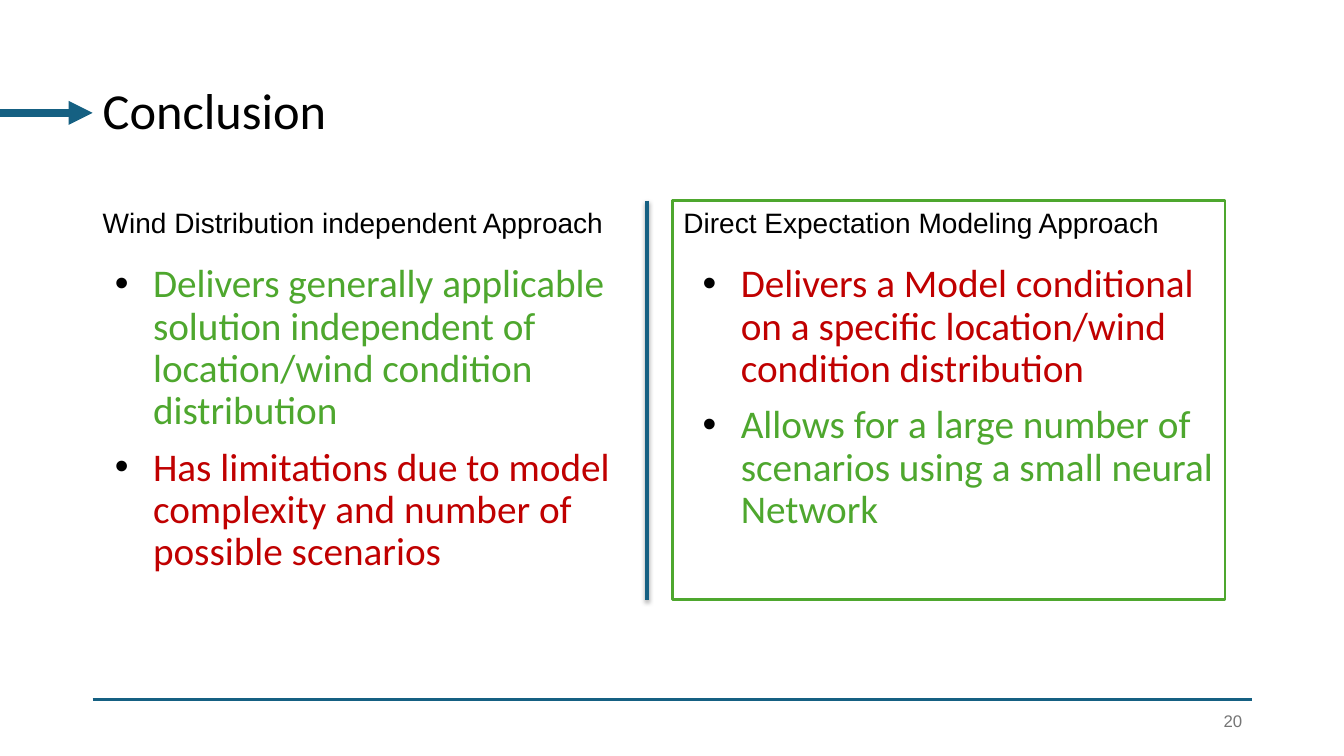
from lxml import etree
from pptx import Presentation
from pptx.dml.color import RGBColor
from pptx.enum.shapes import MSO_CONNECTOR, MSO_SHAPE
from pptx.enum.text import MSO_ANCHOR, PP_ALIGN
from pptx.oxml.ns import qn
from pptx.util import Inches, Pt

STRAIGHT = MSO_CONNECTOR.STRAIGHT
RECTANGLE = MSO_SHAPE.RECTANGLE
TOP, MIDDLE = MSO_ANCHOR.TOP, MSO_ANCHOR.MIDDLE
LEFT, RIGHT = PP_ALIGN.LEFT, PP_ALIGN.RIGHT

BLUE, GREEN, RED, BLACK, GREY = "156082", "4EA72E", "C00000", "000000", "757575"
TITLE = "Conclusion"
PAGE = "20"
APPROACHES = [
    ("Wind Distribution independent Approach", [
        ("Delivers generally applicable solution independent of "
         "location/wind condition distribution", GREEN),
        ("Has limitations due to model complexity and number of "
         "possible scenarios", RED),
    ]),
    ("Direct Expectation Modeling Approach", [
        ("Delivers a Model conditional on a specific location/wind "
         "condition distribution", RED),
        ("Allows for a large number of scenarios using a small neural "
         "Network", GREEN),
    ]),
]

WIDTH, HEIGHT = 13.33, 7.5
MARGIN = 0.92
CONTENT_W = WIDTH - 2 * MARGIN + 0.01
RIGHT_EDGE = MARGIN + CONTENT_W
BODY_W, BODY_GAP = 5.67, 0.16
HEADING_W, HEADING_GAP = 5.48, 0.28
PANEL_TOP, PANEL_H = 1.99, 3.96
BODY_TOP, BODY_H = 2.57, 4.18
RULE_Y, ARROW_Y = 6.94, 1.12
DIVIDER_X = 6.42


def color(value):
    return RGBColor.from_string(value)


def add_text(s, box, paragraphs, size, font, anchor=TOP, align=LEFT):
    tf = s.shapes.add_textbox(*map(Inches, box)).text_frame
    tf.word_wrap = True
    tf.vertical_anchor = anchor
    for i, (text, ink) in enumerate(paragraphs):
        p = tf.paragraphs[0] if i == 0 else tf.add_paragraph()
        p.alignment = align
        r = p.add_run()
        r.text = text
        r.font.size = Pt(size)
        r.font.name = font
        r.font.color.rgb = color(ink)
    return tf


def add_bullet(p):
    p.line_spacing = 0.9
    p.space_before = Pt(10)
    pPr = p._p.get_or_add_pPr()
    pPr.set("marL", str(Inches(0.5)))
    pPr.set("indent", str(-Inches(0.38)))
    tint = etree.SubElement(pPr, qn("a:buClr"))
    etree.SubElement(tint, qn("a:srgbClr"), val=BLACK)
    etree.SubElement(pPr, qn("a:buFont"), typeface="Arial")
    etree.SubElement(pPr, qn("a:buChar"), char="•")


def add_line(s, start, end, width):
    sp = s.shapes.add_connector(STRAIGHT, *map(Inches, start + end))
    sp.line.color.rgb = color(BLUE)
    sp.line.width = Pt(width)
    effects = etree.SubElement(sp._element.spPr, qn("a:effectLst"))
    return sp, effects


def add_shadow(effects):
    shadow = etree.SubElement(
        effects, qn("a:outerShdw"), blurRad=str(Pt(3.1)), dist=str(Pt(1.8)),
        dir=str(90 * 60000), rotWithShape="0")
    ink = etree.SubElement(shadow, qn("a:srgbClr"), val=BLACK)
    etree.SubElement(ink, qn("a:alpha"), val="35000")


def main():
    prs = Presentation()
    prs.slide_width, prs.slide_height = Inches(WIDTH), Inches(HEIGHT)
    s = prs.slides.add_slide(prs.slide_layouts[6])

    add_line(s, (MARGIN, RULE_Y), (RIGHT_EDGE, RULE_Y), 2)
    title = add_text(s, (MARGIN, 0.4, CONTENT_W, 1.45), [(TITLE, BLACK)],
                     36, "Calibri", MIDDLE)
    title.paragraphs[0].line_spacing = 0.9

    for i, (heading, points) in enumerate(APPROACHES):
        body_x = MARGIN + i * (BODY_W + BODY_GAP)
        body = add_text(s, (body_x, BODY_TOP, BODY_W, BODY_H), points, 28, "Calibri")
        for p in body.paragraphs:
            add_bullet(p)
        heading_x = MARGIN + i * (HEADING_W + HEADING_GAP)
        add_text(s, (heading_x, PANEL_TOP, HEADING_W, 0.44), [(heading, BLACK)],
                 20, "Arial")

    add_text(s, (RIGHT_EDGE - 3, 6.95, 3, 0.4), [(PAGE, GREY)], 12, "Arial",
             MIDDLE, RIGHT)

    divider, effects = add_line(s, (DIVIDER_X, PANEL_TOP),
                                (DIVIDER_X, PANEL_TOP + PANEL_H), 3)
    add_shadow(effects)

    panel = s.shapes.add_shape(RECTANGLE, *map(
        Inches, (DIVIDER_X + 0.25, PANEL_TOP, HEADING_W, PANEL_H)))
    panel.shadow.inherit = False
    panel.fill.background()
    panel.line.color.rgb = color(GREEN)
    panel.line.width = Pt(2)

    arrow, effects = add_line(s, (0, ARROW_Y), (MARGIN, ARROW_Y), 5.75)
    etree.SubElement(arrow.line._get_or_add_ln(), qn("a:tailEnd"), type="triangle")

    prs.save("out.pptx")


if __name__ == "__main__":
    main()
